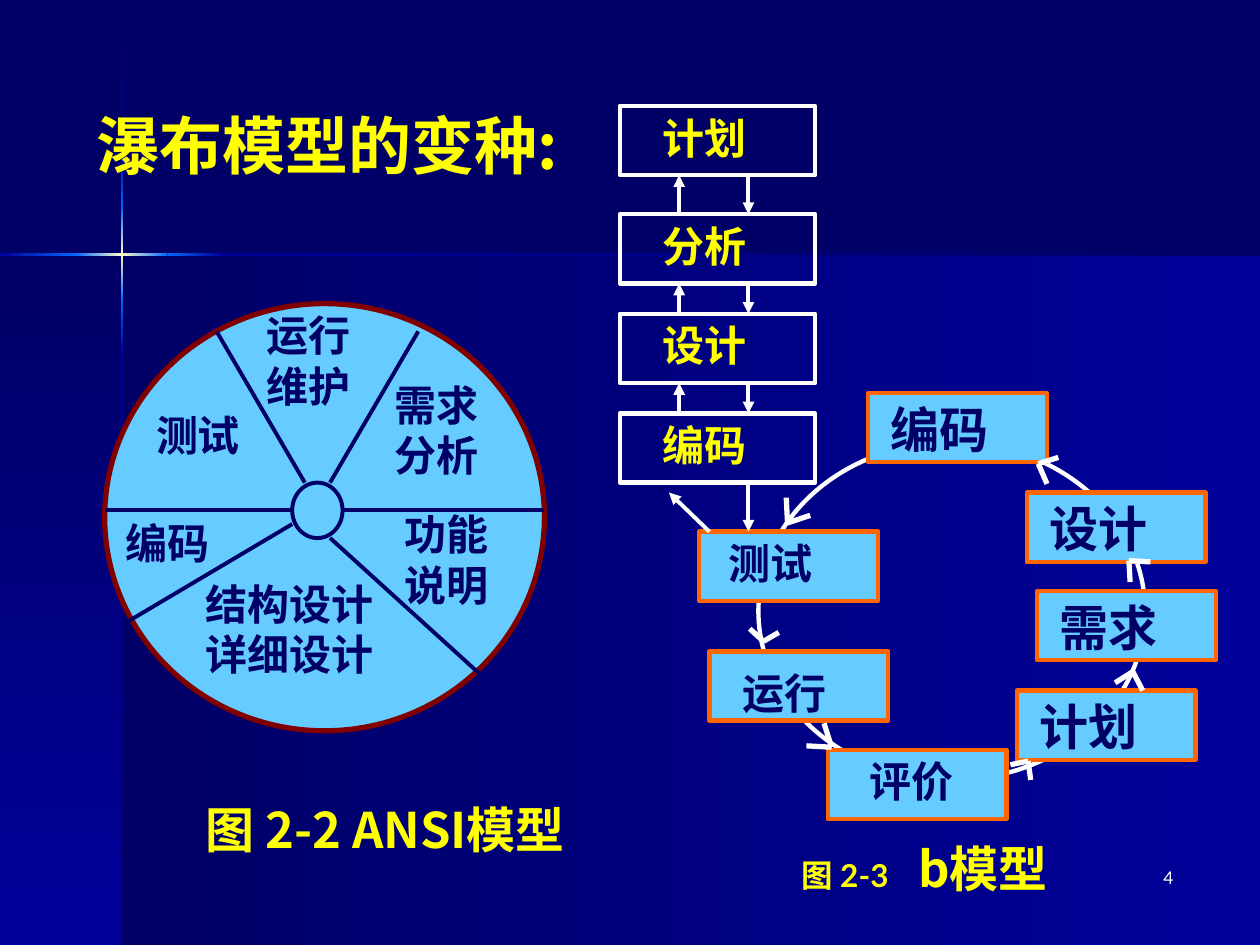
from dataclasses import dataclass
from itertools import pairwise
from lxml.etree import SubElement
from pptx import Presentation
from pptx.dml.color import RGBColor
from pptx.enum.shapes import MSO_CONNECTOR, MSO_SHAPE
from pptx.enum.text import MSO_ANCHOR, PP_ALIGN
from pptx.oxml.ns import qn
from pptx.util import Pt


@dataclass(frozen=True)
class Theme:
    navy: str = "000066"
    blue: str = "000099"
    glow: str = "0066FF"
    cream: str = "FFFFCC"
    sky: str = "66CCFF"
    maroon: str = "800000"
    orange: str = "FF6600"
    white: str = "FFFFFF"
    yellow: str = "FFFF00"
    sans: str = "Lato"
    han: str = "Noto Sans CJK JP"
    title: int = 36
    large: int = 28
    label: int = 24
    small: int = 18
    page: int = 10


theme = Theme()
rgb = RGBColor.from_string
deck = Presentation()
deck.slide_width, deck.slide_height = Pt(720), Pt(540)
slide = deck.slides.add_slide(deck.slide_layouts[6])
slide.background.fill.solid()
slide.background.fill.fore_color.rgb = rgb(theme.navy)
shapes = slide.shapes


def write(shape, text, size=theme.label, color=theme.navy, font=theme.sans, bold=True,
          left=7.2, top=3.6, anchor=MSO_ANCHOR.TOP, align=PP_ALIGN.LEFT, add=False):
    """Set the lines of text in a shape, or add a run to its last line."""
    frame = shape.text_frame
    frame.word_wrap = True
    frame.vertical_anchor = anchor
    frame.margin_left, frame.margin_top = Pt(left), Pt(top)
    for row, line in enumerate(text.split("\n")):
        para = frame.add_paragraph() if row else frame.paragraphs[-1]
        para.alignment = align
        run = para.add_run()
        run.text = line
        run.font.size, run.font.bold, run.font.name = Pt(size), bold, font
        run.font.color.rgb = rgb(color)
        SubElement(run.font._element, qn("a:ea"), typeface=font)


def link(start, end, color=theme.white, width=2.25, arrow=False):
    line = shapes.add_connector(MSO_CONNECTOR.STRAIGHT, *map(Pt, start + end))
    line.line.color.rgb = rgb(color)
    line.line.width = Pt(width)
    if arrow:
        SubElement(line.line._get_or_add_ln(), qn("a:tailEnd"), type="triangle")
    SubElement(line._element.spPr, qn("a:effectLst"))


# Backdrop: two panels and a glowing cross; the angle runs counter-clockwise
ACROSS, DOWN = 180, 270
dark, light = (theme.navy, theme.blue), (theme.blue, theme.navy)
rise, fade = (theme.blue, theme.glow), (theme.glow, theme.blue)
flare = (theme.glow, theme.cream, theme.glow)
for x, y, w, h, colors, angle in [
    (69.8, 145.4, 650.2, 394.6, light, ACROSS),
    (0, 145.4, 69.8, 394.6, dark, DOWN),
    (69.1, 0.7, 1.4, 86.4, dark, DOWN),
    (69.1, 203, 1.4, 337, light, DOWN),
    (127.4, 144.7, 592.6, 1.4, dark, ACROSS),
    (69.1, 171.4, 1.4, 31.7, fade, DOWN),
    (69.1, 87.1, 1.4, 31.7, rise, DOWN),
    (69.1, 118.8, 1.4, 52.6, flare, DOWN),
    (0, 144.7, 43.9, 1.4, fade, ACROSS),
    (95.8, 144.7, 31.7, 1.4, rise, ACROSS),
    (43.2, 144.7, 52.6, 1.4, flare, ACROSS),
]:
    panel = shapes.add_shape(MSO_SHAPE.RECTANGLE, *map(Pt, (x, y, w, h)))
    panel.shadow.inherit = False
    panel.line.fill.background()
    panel.fill.gradient()
    panel.fill.gradient_angle = angle
    stops = next(panel._element.spPr.iter(qn("a:gsLst")))
    stops.clear()
    for i, color in enumerate(colors):
        stop = SubElement(stops, qn("a:gs"), pos=str(100000 * i // (len(colors) - 1)))
        SubElement(stop, qn("a:srgbClr"), val=color)

# Circles and boxes: kind, place, fill, line, line width, text format
high = 39.6
tower = [("计划", 60.5), ("分析", 122.4), ("设计", 179.3), ("编码", 236.2)]
big = dict(size=theme.large, left=13)
ring = [
    ("编码", 496.1, 224.6, big),
    ("测试", 399.6, 303.8, dict(left=16.6)),
    ("运行", 405.4, 372.2, dict(left=18.7, top=9.4)),
    ("设计", 586.8, 281.5, big),
    ("需求", 592.6, 337.7, big),
    ("计划", 581, 394.6, big),
    ("评价", 473, 428.4, dict(left=24)),
]
oval, rect = MSO_SHAPE.OVAL, MSO_SHAPE.RECTANGLE
items = [
    (oval, (59.8, 173.5, 251.3, 244.1), theme.sky, theme.maroon, 3, None),
    (oval, (167, 275.8, 28.8, 31.7), theme.sky, theme.navy, 2.25, None),
    (oval, (433.4, 252.7, 221, 193), None, theme.white, 2.5, None),
]
for text, y in tower:
    form = dict(text=text, color=theme.yellow, left=24.5)
    items.append((rect, (354.2, y, 111.6, high), None, theme.white, 2.5, form))
for text, x, y, form in ring:
    items.append((rect, (x, y, 102.2, high), theme.sky, theme.orange, 2.5,
                  dict(text=text, **form)))
for kind, place, fill, color, width, form in items:
    shape = shapes.add_shape(kind, *map(Pt, place))
    shape.shadow.inherit = False
    shape.line.color.rgb = rgb(color)
    shape.line.width = Pt(width)
    if fill:
        shape.fill.solid()
        shape.fill.fore_color.rgb = rgb(fill)
    else:
        shape.fill.background()
    if form:
        write(shape, **form)

# Spokes of the wheel
for start, end in [
    ((59.8, 291.6), (167, 291.6)),
    ((195.8, 291.6), (311, 291.6)),
    ((123.8, 189.4), (174.2, 275.8)),
    ((188.6, 307.4), (275, 385.9)),
    ((167, 299.5), (73.4, 355)),
    ((188.6, 275.8), (239, 189.4)),
]:
    link(start, end, color=theme.navy)

# Arrows up and down the tower, then to and from the ring
up, down = 388.1, 427.7
for (_, above), (_, below) in pairwise(tower):
    link((up, below), (up, above + high), arrow=True)
    link((down, above + high), (down, below), arrow=True)
link((down, 275.8), (down, 303.8), arrow=True)
link((405.4, 303.8), (382.3, 281.5), arrow=True)

# Open arrowheads round the ring: each tip has two barbs
for tip, *barbs in [
    ((450, 298.8), (463, 294.5), (449.3, 284.4)),
    ((436.3, 366.5), (445, 361.4), (428.4, 359.3)),
    ((475.2, 427), (470.9, 413.3), (460.8, 426.2)),
    ((593.3, 265), (598.3, 276.5), (604.8, 261.4)),
    ((645.1, 320.4), (645.8, 332.6), (657.4, 321.1)),
    ((647.3, 383.8), (637.2, 390.2), (653, 394.6)),
    ((587.5, 434.9), (577.4, 437), (589, 445.7)),
]:
    for barb in barbs:
        link(barb, tip, width=3)

# Labels on the wheel, title, captions and page number
gold = dict(color=theme.yellow, font=theme.han)
for text, x, y, w, h, form in [
    ("需求\n分析", 218.2, 213.1, 179.3, 64.8, {}),
    ("运行\n维护", 145.4, 173.5, 294.5, 64.8, {}),
    ("功能\n说明", 223.9, 287.3, 272.9, 64.8, {}),
    ("编码", 64.8, 292.3, 200.9, 36, {}),
    ("测试", 82.1, 230.4, 266.4, 36, {}),
    ("结构设计\n详细设计", 110.2, 326.9, 289.4, 64.8, {}),
    ("瀑布模型的变种:", 48.2, 25.9, 594, 113,
     dict(size=theme.title, anchor=MSO_ANCHOR.MIDDLE, **gold)),
    ("图 2-2 ANSI模型", 110.2, 453.5, 269.3, 41, dict(size=theme.large, **gold)),
    ("4", 527.8, 491.8, 149.8, 36,
     dict(size=theme.page, color=theme.white, bold=False, align=PP_ALIGN.RIGHT)),
]:
    write(shapes.add_textbox(*map(Pt, (x, y, w, h))), text, **form)

note = shapes.add_textbox(*map(Pt, (450.7, 475.8, 269.3, 41)))
props = note.text_frame.paragraphs[0]._p.get_or_add_pPr()
tabs = SubElement(props, qn("a:tabLst"))
SubElement(tabs, qn("a:tab"), pos=str(Pt(67)), algn="l")
write(note, "图 2-3\t", size=theme.small, color=theme.yellow)
write(note, "b模型", size=theme.large, add=True, **gold)

deck.save("out.pptx")
